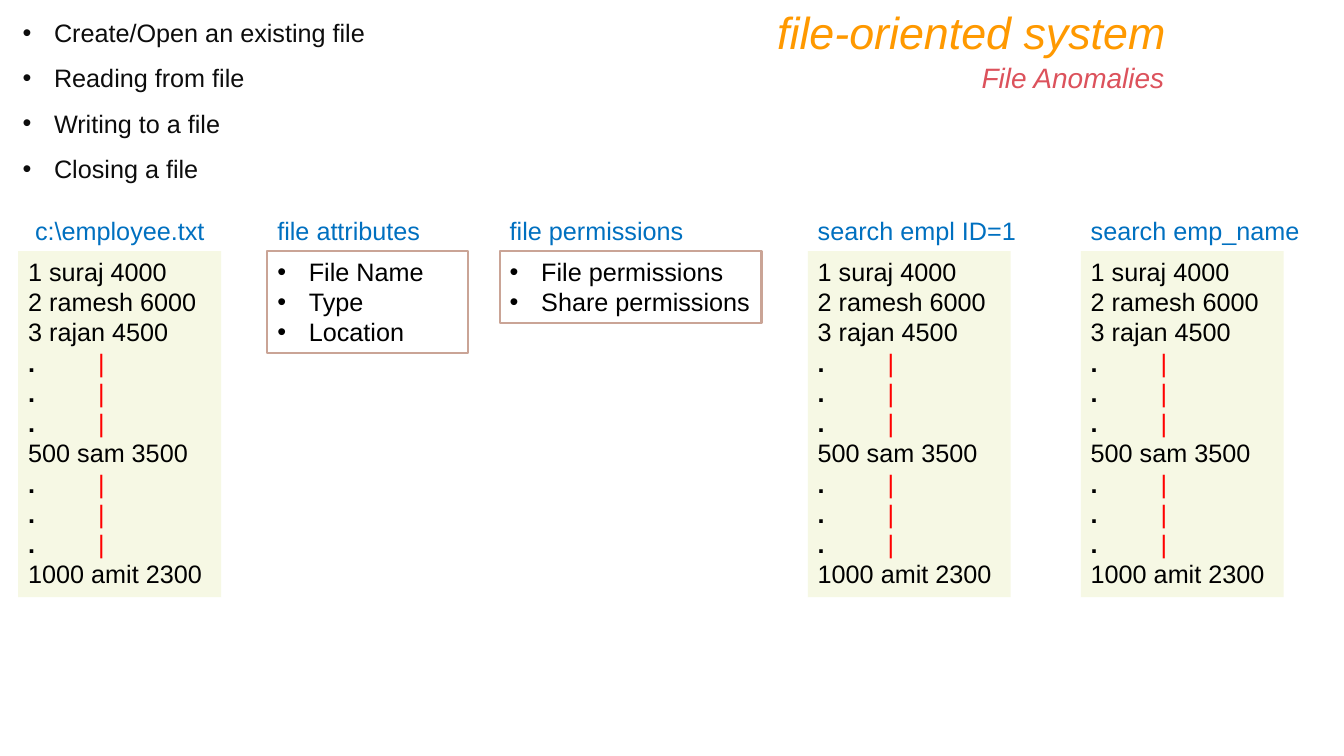
from lxml import etree
from pptx import Presentation
from pptx import util as u
from pptx.dml.color import RGBColor
from pptx.enum import shapes, text
from pptx.oxml.ns import qn

HUES = {
    "ink": "000000", "soft": "0D0D0D", "blue": "0070C0", "red": "FF0000",
    "gold": "FF9900", "rose": "DC525C", "edge": "CAA496", "cream": "F6F8E4",
}
FACE = "Arial"
SIZE = 18
INDENT = 22.5
BAR = 50
HEAD = 29
TOP = 179.5

DOTS = [".\t|"] * 3
ROWS = ["1 suraj 4000", "2 ramesh 6000", "3 rajan 4500", *DOTS,
        "500 sam 3500", *DOTS, "1000 amit 2300"]
STEPS = ["Create/Open an existing file", "Reading from file",
         "Writing to a file", "Closing a file"]
FILES = [(13, 18, 153, r"c:\employee.txt"),
         (577, 577, 162, "search empl ID=1"),
         (772, 772, 171, "search emp_name")]
LISTS = [(191, 143, 73, "file attributes", ["File Name", "Type", "Location"]),
         (357, 187, 51, "file permissions",
          ["File permissions", "Share permissions"])]


def tint(hue):
    return RGBColor.from_string(HUES[hue])


def add_run(para, words, hue, size=SIZE, bold=False, slant=False):
    run = para.add_run()
    run.text = words
    font = run.font
    font.name, font.size = FACE, u.Pt(size)
    font.bold, font.italic = bold, slant
    font.color.rgb = tint(hue)


def add_mark(para):
    props = para._p.get_or_add_pPr()
    props.set("marL", str(u.Pt(INDENT)))
    props.set("indent", str(-u.Pt(INDENT)))
    etree.SubElement(props, qn("a:buFont"), typeface=FACE)
    etree.SubElement(props, qn("a:buChar"), char="•")


def add_stop(para):
    props = para._p.get_or_add_pPr()
    stops = etree.SubElement(props, qn("a:tabLst"))
    etree.SubElement(stops, qn("a:tab"), pos=str(u.Pt(BAR)), algn="l")


def set_frame(shape):
    frame = shape.text_frame
    frame.word_wrap = True
    frame.vertical_anchor = text.MSO_ANCHOR.TOP
    return frame


def add_paras(frame, count):
    paras = [frame.paragraphs[0]]
    paras += [frame.add_paragraph() for _ in range(count - 1)]
    for para in paras:
        para.alignment = text.PP_ALIGN.LEFT
    return paras


def add_text(slide, box):
    return set_frame(slide.shapes.add_textbox(*map(u.Pt, box)))


def add_panel(slide, box, fill=None, edge=None):
    panel = slide.shapes.add_shape(
        shapes.MSO_SHAPE.RECTANGLE, *map(u.Pt, box))
    panel.shadow.inherit = False
    if fill:
        panel.fill.solid()
        panel.fill.fore_color.rgb = tint(fill)
    else:
        panel.fill.background()
    if edge:
        panel.line.color.rgb = tint(edge)
        panel.line.width = u.Pt(1.5)
    else:
        panel.line.fill.background()
    return set_frame(panel)


def add_items(frame, items, hue, space=None):
    for para, item in zip(add_paras(frame, len(items)), items):
        add_mark(para)
        if space:
            para.line_spacing = space
        add_run(para, item, hue)


def add_label(slide, box, words):
    para = add_paras(add_text(slide, box), 1)[0]
    add_run(para, words, "blue")


def add_title(slide, left, top, width):
    para = add_text(slide, (left, top, width, 46)).paragraphs[0]
    para.alignment = text.PP_ALIGN.RIGHT
    add_run(para, "file-oriented system", "gold", 32, slant=True)
    wide = 146
    box = (left + width - wide, top + 40, wide, 32)
    para = add_text(slide, box).paragraphs[0]
    add_run(para, "File Anomalies", "rose", 20, slant=True)


def add_steps(slide, box):
    add_items(add_text(slide, box), STEPS, "soft", 1.5)


def add_file(slide, left, top, shift, wide, label):
    add_label(slide, (shift, top - HEAD, wide, HEAD), label)
    frame = add_panel(slide, (left, top, 145, 247), fill="cream")
    for para, row in zip(add_paras(frame, len(ROWS)), ROWS):
        dot, tab, bar = row.partition("\t")
        if tab:
            add_stop(para)
        add_run(para, dot, "ink", bold=bool(tab))
        if tab:
            add_run(para, tab + bar, "red")


def add_list(slide, left, top, width, height, label, items):
    add_label(slide, (left, top - HEAD, width, HEAD), label)
    frame = add_panel(slide, (left, top, width, height), edge="edge")
    add_items(frame, items, "ink")


def main():
    deck = Presentation()
    deck.slide_width, deck.slide_height = u.Pt(960), u.Pt(540)
    slide = deck.slides.add_slide(deck.slide_layouts[6])
    add_steps(slide, (9, -2, 436, 134))
    add_title(slide, 120, 0, 720)
    for left, width, height, label, items in LISTS:
        add_list(slide, left, TOP, width, height, label, items)
    for left, shift, wide, label in FILES:
        add_file(slide, left, TOP, shift, wide, label)
    deck.save("out.pptx")


if __name__ == "__main__":
    main()
